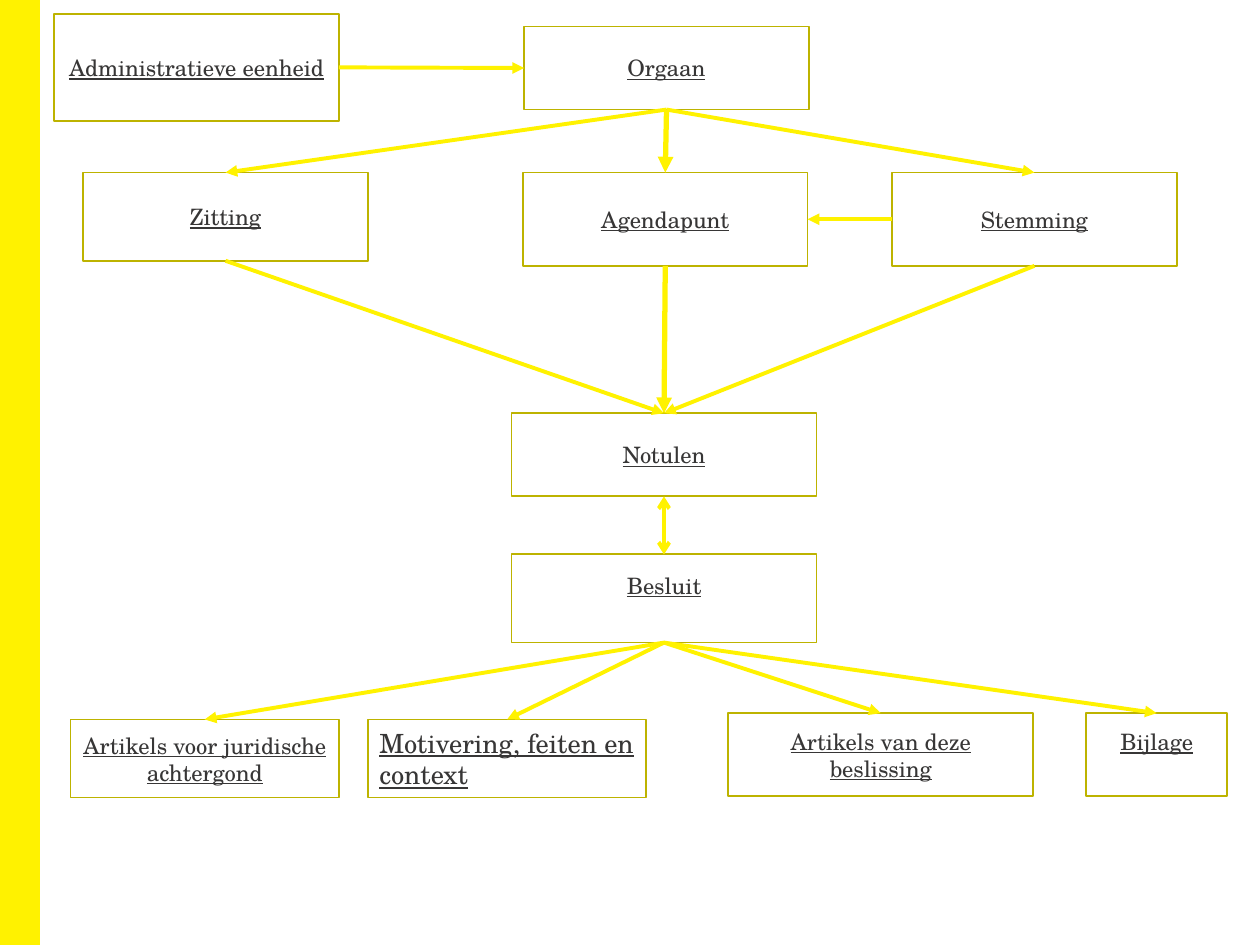
from lxml.etree import SubElement
from pptx import Presentation
from pptx.dml.color import RGBColor
from pptx.enum.shapes import MSO_CONNECTOR, MSO_SHAPE
from pptx.enum.text import MSO_ANCHOR, PP_ALIGN
from pptx.oxml.ns import qn
from pptx.util import Inches, Pt

YELLOW, OLIVE, WHITE, INK = "FFF200", "BDB300", "FFFFFF", "373636"
TOP, LEFT, BOTTOM, RIGHT = range(4)


def color(hex_code):
    return RGBColor.from_string(hex_code)


def add_rectangle(left, top, width, height, fill, outline):
    rectangle = slide.shapes.add_shape(
        MSO_SHAPE.RECTANGLE, Inches(left), Inches(top), Inches(width), Inches(height))
    rectangle.shadow.inherit = False
    rectangle.fill.solid()
    rectangle.fill.fore_color.rgb = color(fill)
    rectangle.line.color.rgb = color(outline)
    rectangle.line.width = Pt(1)
    return rectangle


deck = Presentation()
deck.slide_width, deck.slide_height = Inches(10), Inches(7.5)
slide = deck.slides.add_slide(deck.slide_layouts[6])
add_rectangle(0, 0, 0.31, 7.5, YELLOW, YELLOW)

# Tops of the rows and the widths shared by the boxes
ORGAN_ROW, MEETING_ROW, MINUTES_ROW, DECISION_ROW = 0.21, 1.37, 3.28, 4.4
PARTS_ROW, LOW_PARTS_ROW = 5.66, 5.71
NORMAL, WIDE = 2.26, 2.42
CENTRE = 4.06

# text: left, top, width, height
entities = {
    "Administratieve eenheid": (0.43, 0.11, NORMAL, 0.85),
    "Orgaan": (4.16, ORGAN_ROW, NORMAL, 0.66),
    "Zitting": (0.66, MEETING_ROW, NORMAL, 0.7),
    "Agendapunt": (4.15, MEETING_ROW, NORMAL, 0.74),
    "Stemming": (7.08, MEETING_ROW, NORMAL, 0.74),
    "Notulen": (CENTRE, MINUTES_ROW, WIDE, 0.66),
    "Besluit": (CENTRE, DECISION_ROW, WIDE, 0.7),
    "Artikels voor juridische achtergond": (0.56, LOW_PARTS_ROW, 2.13, 0.62),
    "Motivering, feiten en context": (2.92, LOW_PARTS_ROW, 2.21, 0.62),
    "Artikels van deze beslissing": (5.78, PARTS_ROW, WIDE, 0.66),
    "Bijlage": (8.62, PARTS_ROW, 1.12, 0.66),
}
raised = {"Besluit", "Bijlage"}
left_aligned = {"Motivering, feiten en context"}
font_format = {"name": "TeX Gyre Schola", "underline": True, "color": INK}

boxes = {}
for label, place in entities.items():
    box = boxes[label] = add_rectangle(*place, WHITE, OLIVE)
    frame_format = {
        "word_wrap": True,
        "vertical_anchor": MSO_ANCHOR.MIDDLE,
        "margin_left": Inches(0.09),
        "margin_right": Inches(0.09),
        "margin_top": Inches(0.05),
        "margin_bottom": Inches(0.26 if label in raised else 0.05),
    }
    for attribute, value in frame_format.items():
        setattr(box.text_frame, attribute, value)
    paragraph = box.text_frame.paragraphs[0]
    paragraph.alignment = PP_ALIGN.LEFT if label in left_aligned else PP_ALIGN.CENTER
    run = paragraph.add_run()
    run.text = label
    run.font.size = Pt(15.1 if label in left_aligned else 12.9)
    for attribute, value in font_format.items():
        if attribute == "color":
            run.font.color.rgb = color(value)
        else:
            setattr(run.font, attribute, value)

# from, side, to, side, line width, arrowheads
ONE_WAY = {"tailEnd": "triangle"}
BOTH_WAYS = {"headEnd": "arrow", "tailEnd": "arrow"}
relations = [
    ("Administratieve eenheid", RIGHT, "Orgaan", LEFT, 2.25, ONE_WAY),
    ("Stemming", LEFT, "Agendapunt", RIGHT, 2.25, ONE_WAY),
    ("Notulen", BOTTOM, "Besluit", TOP, 2.25, BOTH_WAYS),
]
for meeting_part in ("Zitting", "Agendapunt", "Stemming"):
    weight = 3 if meeting_part == "Agendapunt" else 2.25
    relations.append(("Orgaan", BOTTOM, meeting_part, TOP, weight, ONE_WAY))
    relations.append((meeting_part, BOTTOM, "Notulen", TOP, weight, ONE_WAY))
for decision_part in list(entities)[-4:]:
    relations.append(("Besluit", BOTTOM, decision_part, TOP, 2.25, ONE_WAY))

for source, source_side, target, target_side, weight, heads in relations:
    arrow = slide.shapes.add_connector(MSO_CONNECTOR.STRAIGHT, 0, 0, 0, 0)
    arrow.begin_connect(boxes[source], source_side)
    arrow.end_connect(boxes[target], target_side)
    arrow.line.color.rgb = color(YELLOW)
    arrow.line.width = Pt(weight)
    outline = arrow.line._get_or_add_ln()
    for end, head in heads.items():
        SubElement(outline, qn(f"a:{end}"), type=head)
    SubElement(arrow._element.spPr, qn("a:effectLst"))

deck.save("out.pptx")
